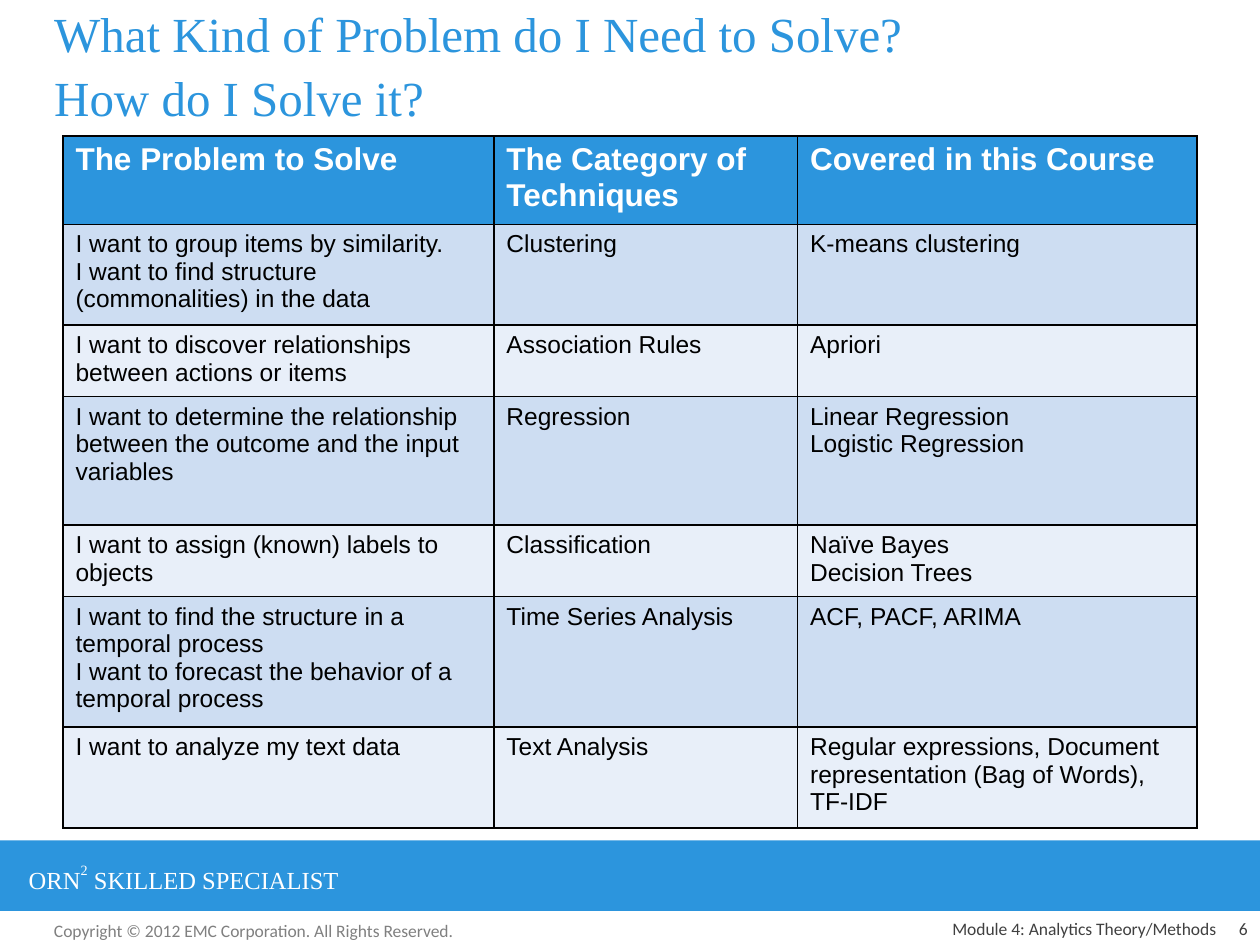
import pptx
import pptx.util
import pptx.dml.color
import pptx.enum.shapes
import pptx.enum.text
import pptx.oxml
import pptx.oxml.ns

Inches, Pt = pptx.util.Inches, pptx.util.Pt
RGB = pptx.dml.color.RGBColor
ALIGN = pptx.enum.text.PP_ALIGN
ANCHOR = pptx.enum.text.MSO_ANCHOR

BLUE = RGB(0x2C, 0x95, 0xDD)
BANDS = [RGB(0xCD, 0xDD, 0xF2), RGB(0xE8, 0xEF, 0xF9)]
WHITE = RGB(0xFF, 0xFF, 0xFF)
BLACK = RGB(0, 0, 0)
GREY = RGB(0x80, 0x80, 0x80)
DARK = RGB(0x40, 0x40, 0x40)
EDGE = ('<a:{0} xmlns:a="http://schemas.openxmlformats.org/drawingml/2006/main" '
        'w="12700"><a:solidFill><a:srgbClr val="000000"/></a:solidFill></a:{0}>')


def style(frame, face, size, color, bold=False):
    for par in frame.paragraphs:
        for run in par.runs:
            run.font.name, run.font.size = face, Pt(size)
            run.font.color.rgb, run.font.bold = color, bold


def label(text, left, top, width, height, face, size, color,
          align=ALIGN.LEFT, anchor=ANCHOR.TOP):
    box = slide.shapes.add_textbox(*map(Inches, (left, top, width, height)))
    frame = box.text_frame
    frame.word_wrap = True
    frame.vertical_anchor = anchor
    frame.text = text
    frame.paragraphs[0].alignment = align
    style(frame, face, size, color)
    return frame


deck = pptx.Presentation()
deck.slide_width, deck.slide_height = Inches(10), Inches(7.5)
slide = deck.slides.add_slide(deck.slide_layouts[5])

# Footer band
band = slide.shapes.add_shape(pptx.enum.shapes.MSO_SHAPE.RECTANGLE,
                              0, Inches(6.67), deck.slide_width, Inches(0.56))
band.shadow.inherit = False
band.fill.solid()
band.fill.fore_color.rgb = BLUE
band.line.fill.background()

brand = label("ORN", 0.13, 6.79, 3.7, 0.34, "Times New Roman", 14, WHITE)
for part in ("2", " SKILLED SPECIALIST"):
    brand.paragraphs[0].add_run().text = part
style(brand, "Times New Roman", 14, WHITE)
brand.paragraphs[0].runs[1].font._element.set("baseline", "56000")

# Footer line
label("Copyright © 2012 EMC Corporation. All Rights Reserved.",
      0.33, 7.25, 3.42, 0.27, "Calibri", 10, GREY)
for text, left, width in (("6", 9.5, 0.5),
                          ("Module 4: Analytics Theory/Methods", 5.17, 4.58)):
    label(text, left, 7.25, width, 0.25, "Calibri", 10, DARK,
          ALIGN.RIGHT, ANCHOR.BOTTOM)

# Title
title = slide.shapes.title
title.left, title.top = Inches(0.33), Inches(0.08)
title.width, title.height = Inches(9.25), Inches(0.83)
frame = title.text_frame
frame.text = "What Kind of Problem do I Need to Solve?\vHow do I Solve it?"
frame.auto_size = pptx.enum.text.MSO_AUTO_SIZE.NONE
frame.vertical_anchor = ANCHOR.MIDDLE
frame.paragraphs[0].alignment = ALIGN.LEFT
frame.paragraphs[0].line_spacing = 1.09
style(frame, "Times New Roman", 28, BLUE)

# Table
rows = [
    ("The Problem to Solve", "The Category of Techniques",
     "Covered in this Course"),
    ("I want to group items by similarity.\n"
     "I want to find structure (commonalities) in the data",
     "Clustering", "K-means clustering"),
    ("I want to discover relationships between actions or items",
     "Association Rules", "Apriori"),
    ("I want to determine the relationship between the outcome and the "
     "input variables",
     "Regression", "Linear Regression\nLogistic Regression"),
    ("I want to assign (known) labels to objects",
     "Classification", "Naïve Bayes\nDecision Trees"),
    ("I want to find the structure in a temporal process\n"
     "I want to forecast the behavior of a temporal process",
     "Time Series Analysis", "ACF, PACF, ARIMA"),
    ("I want to analyze my text data", "Text Analysis",
     "Regular expressions, Document representation (Bag of Words), TF-IDF"),
]
widths = [3.42, 2.41, 3.17]
heights = [0.66, 0.76, 0.54, 1.02, 0.54, 0.97, 0.76]
table = slide.shapes.add_table(
    len(rows), len(widths), Inches(0.5), Inches(1.08),
    Inches(sum(widths)), Inches(sum(heights))).table
for col, width in zip(table.columns, widths):
    col.width = Inches(width)
for r, (row, height) in enumerate(zip(rows, heights)):
    table.rows[r].height = Inches(height)
    head = r == 0
    for c, text in enumerate(row):
        cell = table.cell(r, c)
        cell.text_frame.text = text
        style(cell.text_frame, "Arial", 18 if head else 14,
              WHITE if head else BLACK, head)
        cell.fill.solid()
        cell.fill.fore_color.rgb = BLUE if head else BANDS[(r - 1) % 2]
        props = cell._tc.get_or_add_tcPr()
        for i, side in enumerate(("lnL", "lnR", "lnT", "lnB")):
            props.insert(i, pptx.oxml.parse_xml(EDGE.format(side)))

deck.save("out.pptx")
